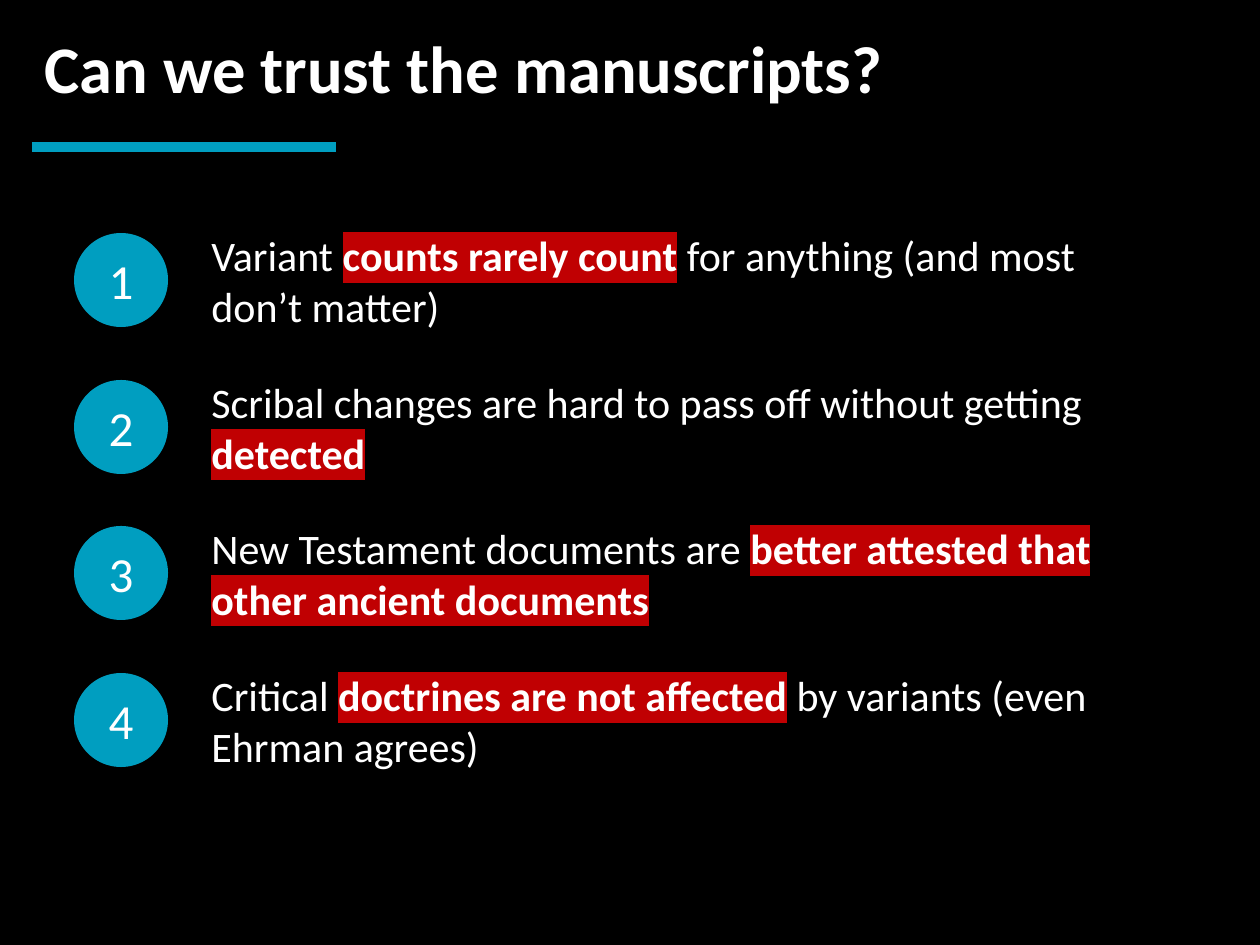
from lxml.etree import SubElement
from pptx import Presentation
from pptx.dml.color import RGBColor
from pptx.enum.shapes import MSO_CONNECTOR, MSO_SHAPE
from pptx.enum.text import MSO_ANCHOR, PP_ALIGN
from pptx.oxml.ns import qn
from pptx.util import Pt

PX = 914400 // 126
WHITE, BLACK, TEAL, RED = "FFFFFF", "000000", "009EC0", "C00002"


def color(hex_string):
    return RGBColor.from_string(hex_string)


def style(para, size, bold=False):
    para.font.name = "Calibri"
    para.font.size = Pt(size)
    para.font.bold = bold
    para.font.color.rgb = color(WHITE)


deck = Presentation()
deck.slide_width, deck.slide_height = 1260 * PX, 945 * PX
page = deck.slides.add_slide(deck.slide_layouts[6])
page.background.fill.solid()
page.background.fill.fore_color.rgb = color(BLACK)

# Title
title = page.shapes.add_textbox(32 * PX, 21 * PX, 1187 * PX, 93 * PX)
title.text_frame.word_wrap = True
title_para = title.text_frame.paragraphs[0]
title_para.text = "Can we trust the manuscripts?"
style(title_para, 38, bold=True)

# Numbered points: each is a list of (text, highlighted) spans
points = [
    [("Variant ", False), ("counts rarely count", True),
     (" for anything (and most don’t matter)", False)],
    [("Scribal changes are hard to pass off without getting ", False),
     ("detected", True)],
    [("New Testament documents are ", False),
     ("better attested that other ancient documents", True)],
    [("Critical ", False), ("doctrines are not affected", True),
     (" by variants (even Ehrman agrees)", False)],
]
first_top, last_top, height = 233, 673, 94
pitch = (last_top - first_top) / (len(points) - 1)

for index, spans in enumerate(points):
    top = round(first_top + index * pitch) * PX
    group = page.shapes.add_group_shape()

    circle = group.shapes.add_shape(
        MSO_SHAPE.OVAL, 74 * PX, top, height * PX, height * PX)
    circle.shadow.inherit = False
    circle.fill.solid()
    circle.fill.fore_color.rgb = color(TEAL)
    circle.line.fill.background()
    circle.text_frame.vertical_anchor = MSO_ANCHOR.MIDDLE
    number = circle.text_frame.paragraphs[0]
    number.text = str(index + 1)
    number.alignment = PP_ALIGN.CENTER
    style(number, 28)

    box = group.shapes.add_textbox(199 * PX, top, 977 * PX, height * PX)
    box.text_frame.word_wrap = True
    box.text_frame.vertical_anchor = MSO_ANCHOR.MIDDLE
    para = box.text_frame.paragraphs[0]
    style(para, 24)
    for text, highlighted in spans:
        span = para.add_run()
        span.text = text
        if highlighted:
            span.font.bold = True
            highlight = SubElement(span.font._element, qn("a:highlight"))
            SubElement(highlight, qn("a:srgbClr")).set("val", RED)

# Rule under the title
rule = page.shapes.add_connector(
    MSO_CONNECTOR.STRAIGHT, 32 * PX, 147 * PX, 336 * PX, 147 * PX)
rule.line.color.rgb = color(TEAL)
rule.line.width = Pt(6)
SubElement(rule._element.spPr, qn("a:effectLst"))

deck.save("out.pptx")
